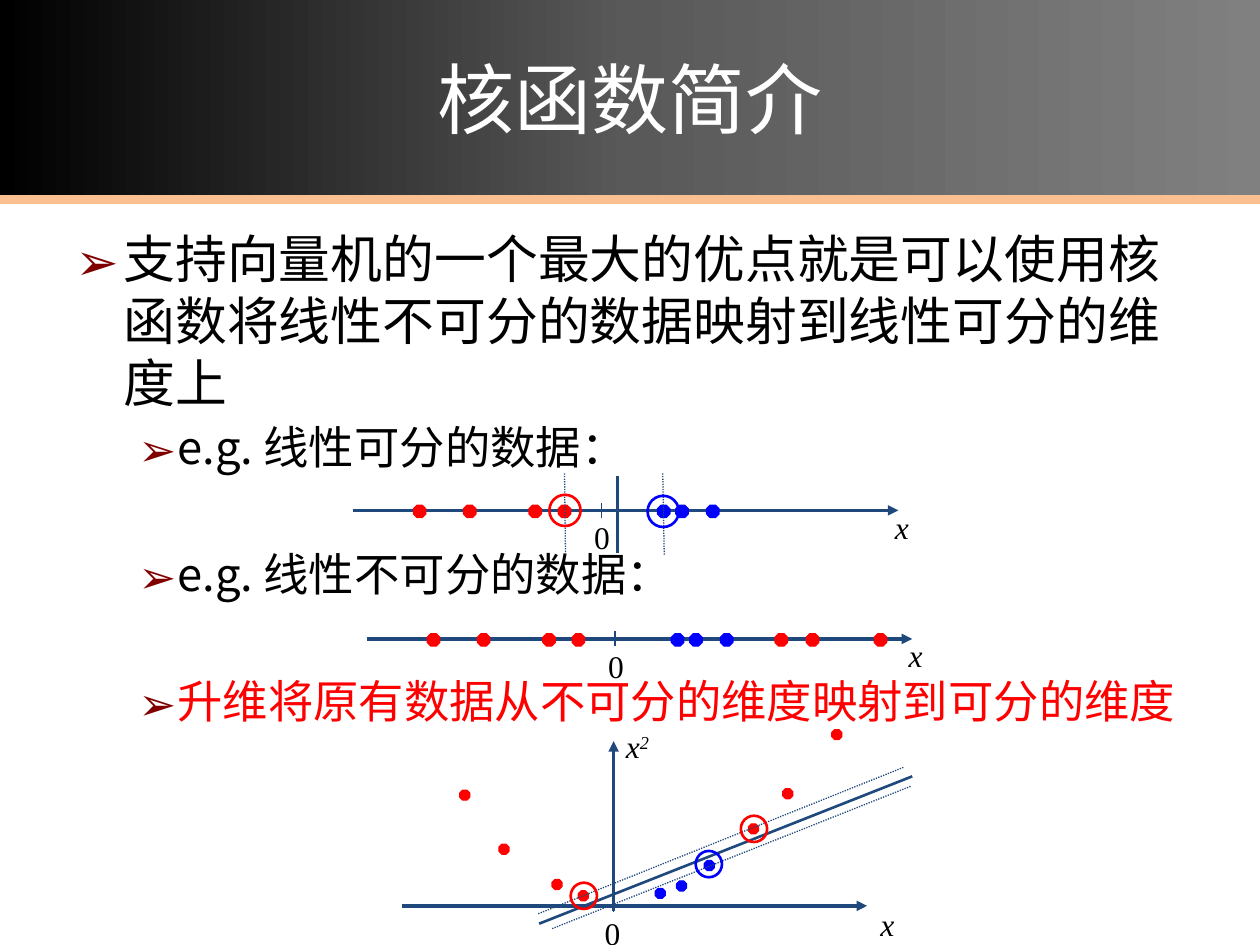
from copy import deepcopy
from pptx import Presentation
from pptx.dml.color import RGBColor
from pptx.enum.dml import MSO_LINE
from pptx.enum.shapes import MSO_CONNECTOR, MSO_SHAPE
from pptx.enum.text import MSO_ANCHOR, PP_ALIGN
from pptx.oxml.ns import qn
from pptx.util import Cm, Pt
from lxml.etree import SubElement

BLACK = RGBColor(0, 0, 0)
WHITE = RGBColor(255, 255, 255)
RED = RGBColor(255, 0, 0)
BLUE = RGBColor(0, 0, 255)
NAVY = RGBColor(0x1F, 0x49, 0x7D)
PEACH = RGBColor(0xFA, 0xC0, 0x90)
SHADES = [(0, BLACK), (0.5, RGBColor(0x59, 0x59, 0x59)),
          (1, RGBColor(0x80, 0x80, 0x80))]
SANS, SERIF = "Noto Sans CJK SC", "Times New Roman"

TITLE = "核函数简介"
# text, colour, size, line height, space before (points), indent, hanging (cm)
BODY = [
    ("支持向量机的一个最大的优点就是可以使用核函数将线性不可分的数据映射到线性可分的维度上",
     BLACK, 29.6, 35.4, 0, 0.97, 0.97),
    ("e.g. 线性可分的数据：", BLACK, 25.9, 31, 4, 2.06, 0.79),
    ("e.g. 线性不可分的数据：", BLACK, 25.9, 31, 41.6, 2.06, 0.79),
    ("升维将原有数据从不可分的维度映射到可分的维度", RED, 25.9, 31, 41.6, 2.06, 0.79),
]

# Number lines: origin, then dot offsets along the axis (cm)
NEAR = [1.35, 2.36, 3.68, 4.27]
FAR = [8.36, 8.99, 10.36]
MID = [6.27, 6.64, 7.26]
ROWS = [((7.11, 10.29), NEAR, MID), ((7.39, 12.88), NEAR + FAR, MID)]

# Separators: x1, y1, x2, y2, dotted
SPLITS = [
    (12.45, 9.6, 12.45, 11.15, False),
    (13.39, 11.18, 13.36, 9.53, True),
    (11.4, 11.18, 11.38, 9.53, True),
    (10.87, 18.62, 18.39, 15.65, False),
    (10.85, 18.42, 18.21, 15.47, True),
    (11.13, 18.72, 18.36, 15.85, True),
]
# Support vectors: centre, diameter, colour
RINGS = [
    (13.37, 10.31, 0.63, BLUE), (11.39, 10.29, 0.63, RED),
    (15.2, 16.71, 0.53, RED), (14.29, 17.42, 0.53, BLUE),
    (11.77, 18.06, 0.53, RED),
]
# Dots lifted to two dimensions
PLANE = {
    RED: [(9.37, 16.03), (10.16, 17.12), (11.23, 17.83), (11.76, 18.06),
          (15.19, 16.71), (15.88, 16), (16.87, 14.81)],
    BLUE: [(13.74, 17.86), (14.3, 17.45), (13.31, 18.01)],
}

deck = Presentation()
deck.slide_width, deck.slide_height = Cm(25.4), Cm(19.05)
shapes = deck.slides.add_slide(deck.slide_layouts[6]).shapes


def put(kind, x, y, w, h, fill=None, line=None, width=0.75):
    item = shapes.add_shape(kind, Cm(x), Cm(y), Cm(w), Cm(h))
    item.shadow.inherit = False
    if fill is None:
        item.fill.background()
    else:
        item.fill.solid()
        item.fill.fore_color.rgb = fill
    if line is None:
        item.line.fill.background()
    else:
        item.line.color.rgb = line
        item.line.width = Pt(width)
    return item


def dot(x, y, size, color):
    put(MSO_SHAPE.OCTAGON, x - size / 2, y - size / 2, size, size, color, color)


def draw(x1, y1, x2, y2, width=0.75, dotted=False, arrow=False):
    line = shapes.add_connector(MSO_CONNECTOR.STRAIGHT,
                                Cm(x1), Cm(y1), Cm(x2), Cm(y2))
    line.line.color.rgb = NAVY
    line.line.width = Pt(width)
    if dotted:
        line.line.dash_style = MSO_LINE.ROUND_DOT
    if arrow:
        SubElement(line.line._get_or_add_ln(), qn("a:tailEnd"), type="triangle")
    SubElement(line._element.spPr, qn("a:effectLst"))


def write(para, text, size, color, face):
    run = para.add_run()
    run.text = text
    font = run.font
    font.size, font.name, font.color.rgb = Pt(size), face, color
    SubElement(font._element, qn("a:ea"), typeface=face)
    return font


def label(x, y, text, power=""):
    box = shapes.add_textbox(Cm(x), Cm(y), Cm(1.1), Cm(1))
    para = box.text_frame.paragraphs[0]
    write(para, text, 18, BLACK, SERIF).italic = text.isalpha()
    if power:
        font = write(para, power, 18, BLACK, SERIF)
        font.italic = True
        font._element.set("baseline", "30000")


def bullet(para, indent, hang):
    props = para._p.get_or_add_pPr()
    props.set("marL", str(Cm(indent)))
    props.set("indent", str(-Cm(hang)))
    tint = SubElement(props, qn("a:buClr"))
    SubElement(tint, qn("a:srgbClr"), val="800000")
    SubElement(props, qn("a:buFont"), typeface=SANS)
    SubElement(props, qn("a:buChar"), char="➢")


def header():
    put(MSO_SHAPE.RECTANGLE, 0, 3.93, 25.4, 0.18, PEACH)
    band = put(MSO_SHAPE.RECTANGLE, 0, 0, 25.4, 3.93, BLACK)
    band.fill.gradient()
    band.fill.gradient_angle = 0
    first = band.fill._fill._gradFill.gsLst[0]
    first.addnext(deepcopy(first))
    for stop, (place, color) in zip(band.fill.gradient_stops, SHADES):
        stop.position = place
        stop.color.rgb = color
    band.text_frame.vertical_anchor = MSO_ANCHOR.MIDDLE
    para = band.text_frame.paragraphs[0]
    para.alignment = PP_ALIGN.CENTER
    write(para, TITLE, 44, WHITE, SANS)


def body():
    frame = shapes.add_textbox(Cm(1.27), Cm(4.32), Cm(23.04), Cm(11.48)).text_frame
    frame.word_wrap = True
    frame.margin_top = Cm(0.25)
    for i, (text, color, size, pitch, gap, indent, hang) in enumerate(BODY):
        para = frame.add_paragraph() if i else frame.paragraphs[0]
        para.line_spacing, para.space_before = Pt(pitch), Pt(gap)
        bullet(para, indent, hang)
        write(para, text, size, color, SANS)


def row(x, y, reds, blues):
    """Draw one number line with its dots and labels."""
    draw(x, y, x + 11, y, 2, arrow=True)
    draw(x + 5.01, y - 0.15, x + 5.01, y + 0.15)
    for color, steps in ((RED, reds), (BLUE, blues)):
        for step in steps:
            dot(x + step, y + 0.02, 0.25, color)
    label(x + 4.62, y + 0.03, "0")
    label(x + 10.68, y - 0.18, "x")


def plane():
    draw(8.1, 18.26, 17.48, 18.26, 2, arrow=True)
    draw(12.37, 18.14, 12.37, 18.39)
    draw(12.37, 18.36, 12.37, 14.94, 2, arrow=True)
    for color, spots in PLANE.items():
        for x, y in spots:
            dot(x, y, 0.2, color)
    label(11.94, 18.31, "0")
    label(17.5, 18.11, "x")
    label(12.37, 14.53, "x", "2")


header()
body()
for (x, y), reds, blues in ROWS:
    row(x, y, reds, blues)
plane()
for x1, y1, x2, y2, dotted in SPLITS:
    draw(x1, y1, x2, y2, 0.75 if dotted else 1.5, dotted)
for x, y, size, color in RINGS:
    put(MSO_SHAPE.OVAL, x - size / 2, y - size / 2, size, size, None, color, 1.5)
deck.save("out.pptx")
